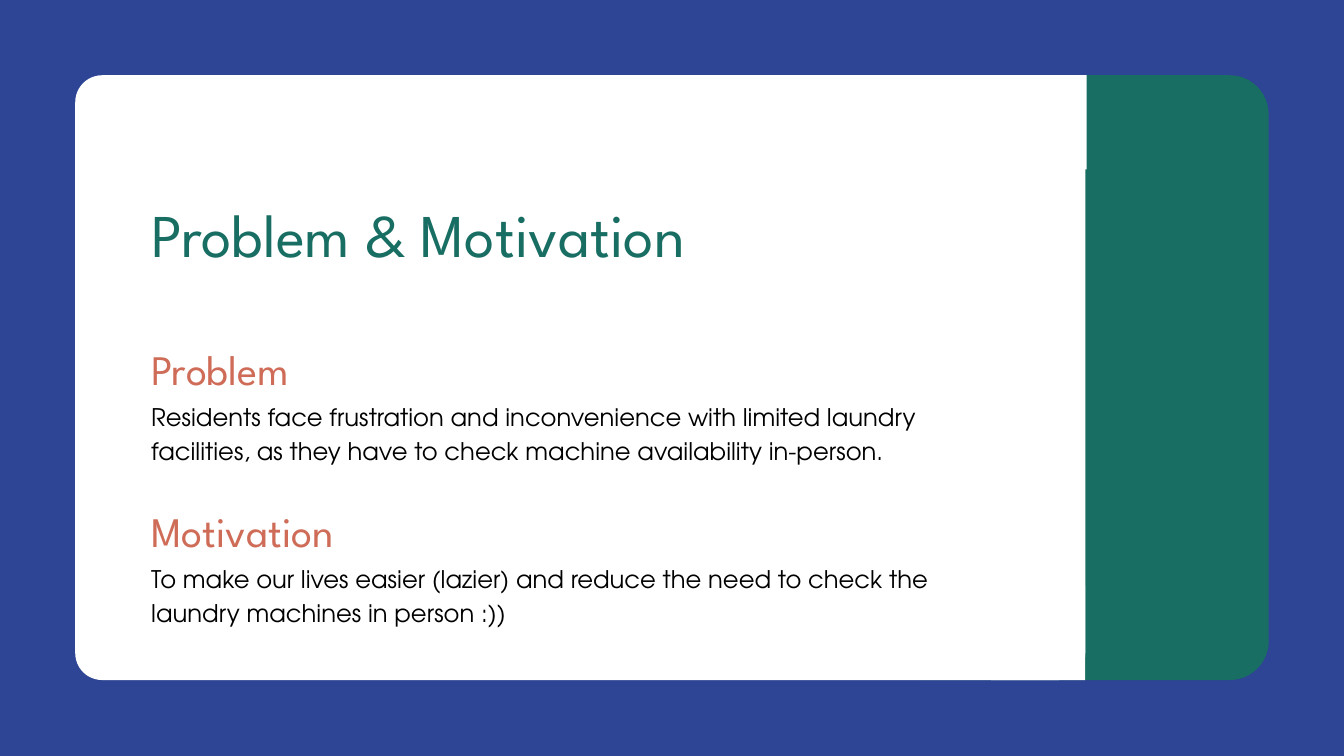
from dataclasses import dataclass

from pptx import Presentation
from pptx.dml.color import RGBColor as Rgb
from pptx.enum.shapes import MSO_SHAPE as Kind
from pptx.enum.text import MSO_AUTO_SIZE as Fit
from pptx.util import Inches, Pt


@dataclass(frozen=True)
class Theme:
    blue: str = "2E4494"
    green: str = "196E63"
    white: str = "FFFFFF"
    # Text styles: font, size, colour, line spacing in points
    title: tuple = ("League Spartan", 65, "196E63", 74.8)
    head: tuple = ("League Spartan", 45, "CF6C58", 58.5)
    body: tuple = ("TeX Gyre Adventor", 26, "000000", 36.4)


class Deck:
    def __init__(self, theme):
        self.theme = theme
        self.prs = Presentation()
        self.prs.slide_width, self.prs.slide_height = Inches(20), Inches(11.25)
        self.slide = self.prs.slides.add_slide(self.prs.slide_layouts[6])
        fill = self.slide.background.fill
        fill.solid()
        fill.fore_color.rgb = Rgb.from_string(theme.blue)

    def panel(self, box, color, radius=0):
        """Add a plain block, with rounded corners if a radius is given."""
        kind = Kind.ROUNDED_RECTANGLE if radius else Kind.RECTANGLE
        shape = self.slide.shapes.add_shape(kind, *map(Inches, box))
        if radius:
            shape.adjustments[0] = radius / min(box[2:])
        shape.shadow.inherit = False
        shape.fill.solid()
        shape.fill.fore_color.rgb = Rgb.from_string(color)
        shape.line.fill.background()

    def text(self, box, words, style):
        font, size, color, pitch = style
        frame = self.slide.shapes.add_textbox(*map(Inches, box)).text_frame
        layout = dict(margin_left=0, margin_top=0, margin_right=0,
                      margin_bottom=0, word_wrap=True,
                      auto_size=Fit.SHAPE_TO_FIT_TEXT)
        for name, value in layout.items():
            setattr(frame, name, value)
        para = frame.paragraphs[0]
        para.line_spacing = Pt(pitch)
        run = para.add_run()
        run.text = words
        for name, value in dict(name=font, size=Pt(size)).items():
            setattr(run.font, name, value)
        run.font.color.rgb = Rgb.from_string(color)

    def section(self, top, head, body):
        left, width = 2.25, 12.28
        self.text((left, top, width, 0.79), head, self.theme.head)
        self.text((left, top + 0.87, width, 0.98), body, self.theme.body)


def main():
    theme = Theme()
    deck = Deck(theme)

    deck.panel((13.12, 1.12, 5.76, 9), theme.green, 0.58)
    deck.panel((1.12, 1.12, 15.03, 9), theme.white, 0.4)

    deck.text((2.25, 2.98, 12.5, 1.06), "Problem & Motivation", theme.title)
    sections = (
        ("Problem", "Residents face frustration and inconvenience with limited "
         "laundry facilities, as they have to check machine availability "
         "in-person."),
        ("Motivation", "To make our lives easier (lazier) and reduce the need "
         "to check the laundry machines in person :))"),
    )
    for i, (head, body) in enumerate(sections):
        deck.section(5.05 + 2.41 * i, head, body)

    # Square off the right corners of the white card
    for left, top in ((14.77, 1.12), (14.75, 8.72)):
        deck.panel((left, top, 1.4, 1.4), theme.white)

    deck.prs.save("out.pptx")


if __name__ == "__main__":
    main()
